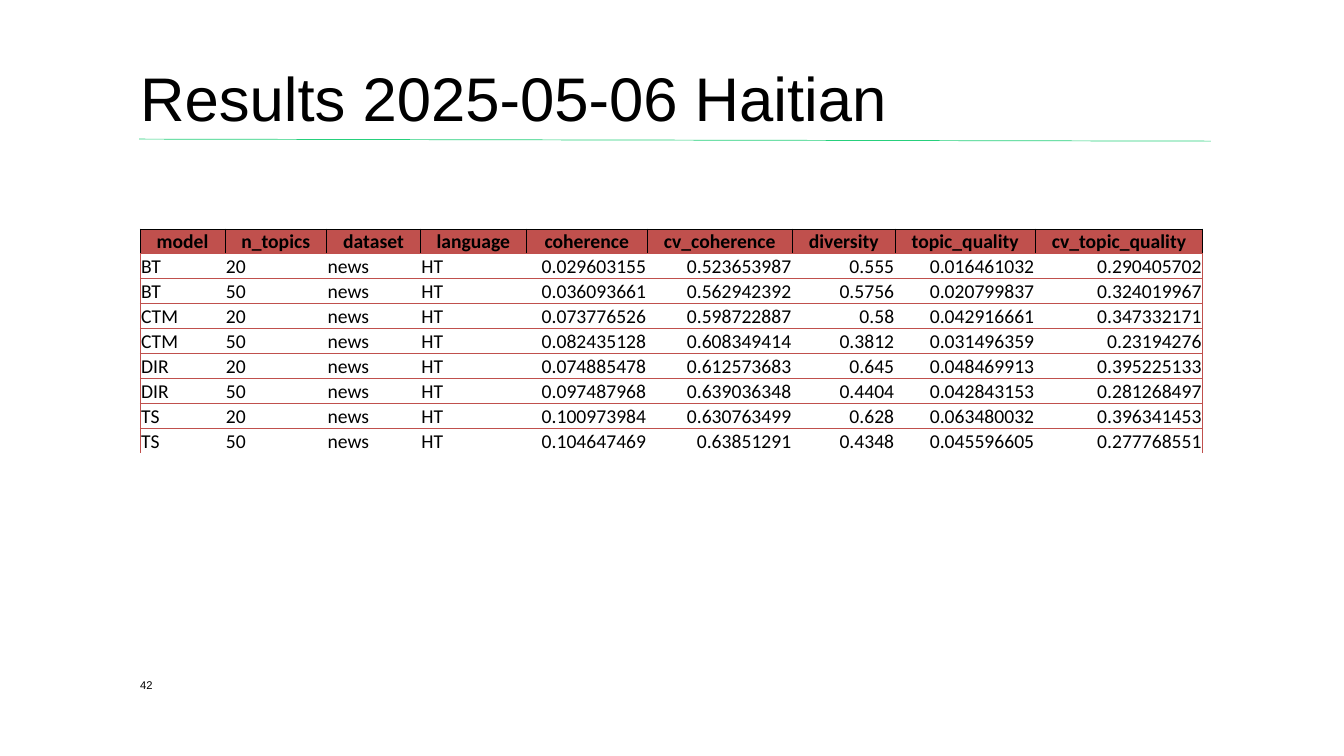
from lxml import etree
from pptx import Presentation
from pptx.dml.color import RGBColor
from pptx.enum import shapes, text
from pptx.oxml import ns
from pptx.util import Inches, Pt

BLACK = RGBColor(0x00, 0x00, 0x00)
RED = RGBColor(0xC0, 0x50, 0x4D)
GREEN = RGBColor(0x26, 0xD0, 0x7C)

LEFT = 1.39
WIDTHS = [0.84, 1.01, 0.93, 1.05, 1.2, 1.44, 1.02, 1.39, 1.66]
HEAD = ["model", "n_topics", "dataset", "language", "coherence",
        "cv_coherence", "diversity", "topic_quality", "cv_topic_quality"]
SCORES = [
    ["0.029603155", "0.523653987", "0.555", "0.016461032", "0.290405702"],
    ["0.036093661", "0.562942392", "0.5756", "0.020799837", "0.324019967"],
    ["0.073776526", "0.598722887", "0.58", "0.042916661", "0.347332171"],
    ["0.082435128", "0.608349414", "0.3812", "0.031496359", "0.23194276"],
    ["0.074885478", "0.612573683", "0.645", "0.048469913", "0.395225133"],
    ["0.097487968", "0.639036348", "0.4404", "0.042843153", "0.281268497"],
    ["0.100973984", "0.630763499", "0.628", "0.063480032", "0.396341453"],
    ["0.104647469", "0.63851291", "0.4348", "0.045596605", "0.277768551"],
]
RUNS = [(model, count) for model in ("BT", "CTM", "DIR", "TS")
        for count in ("20", "50")]
ROWS = [HEAD] + [[*run, "news", "HT", *score]
                 for run, score in zip(RUNS, SCORES)]


def style(par, size, face="Arial", bold=False):
    for run in par.runs:
        run.font.size = Pt(size)
        run.font.name = face
        run.font.bold = bold
        run.font.color.rgb = BLACK


def label(box, words, size):
    frame = box.text_frame
    frame.text = words
    frame.word_wrap = True
    frame.auto_size = text.MSO_AUTO_SIZE.NONE
    frame.vertical_anchor = text.MSO_ANCHOR.BOTTOM
    frame.margin_left = frame.margin_right = 0
    frame.margin_top = frame.margin_bottom = 0
    par = frame.paragraphs[0]
    par.alignment = text.PP_ALIGN.LEFT
    style(par, size)
    return par


def title(slide, words):
    box = slide.shapes.title
    box.left, box.top = Inches(LEFT), Inches(0.4)
    box.width, box.height = Inches(10.62), Inches(0.94)
    label(box, words, 44).line_spacing = 0.9


def rule(slide):
    line = slide.shapes.add_connector(
        shapes.MSO_CONNECTOR.STRAIGHT,
        Inches(1.38), Inches(1.38), Inches(12.01), Inches(1.4))
    line.line.color.rgb = GREEN
    line.line.width = Pt(0.5)
    etree.SubElement(line._element.spPr, ns.qn("a:effectLst"))


def border(cell, side, color):
    props = cell._tc.get_or_add_tcPr()
    edge = etree.SubElement(props, ns.qn("a:ln" + side), w=str(Pt(0.5)))
    if color is None:
        etree.SubElement(edge, ns.qn("a:noFill"))
    else:
        fill = etree.SubElement(edge, ns.qn("a:solidFill"))
        etree.SubElement(fill, ns.qn("a:srgbClr"), val=str(color))


def edges(row, col):
    """Colours of the left, right, top and bottom borders."""
    if row == 0:
        return BLACK, BLACK, BLACK, RED
    return (RED if col == 0 else None,
            RED if col == len(HEAD) - 1 else None,
            RED,
            RED if row < len(ROWS) - 1 else None)


def fill(cell, words, row, col):
    cell.text = words
    cell.margin_left = cell.margin_right = cell.margin_top = Inches(0.01)
    cell.margin_bottom = 0
    for side, color in zip("LRTB", edges(row, col)):
        border(cell, side, color)
    par = cell.text_frame.paragraphs[0]
    style(par, 14, "Calibri", row == 0)
    if row == 0:
        cell.fill.solid()
        cell.fill.fore_color.rgb = RED
        par.alignment = text.PP_ALIGN.CENTER
    else:
        cell.fill.background()
        cell.vertical_anchor = text.MSO_ANCHOR.BOTTOM
        par.alignment = text.PP_ALIGN.RIGHT if col > 3 else text.PP_ALIGN.LEFT


def grid(slide):
    table = slide.shapes.add_table(
        len(ROWS), len(HEAD), Inches(LEFT), Inches(2.27),
        Inches(sum(WIDTHS)), Inches(2.23)).table
    table.first_row = table.horz_banding = False
    for col, width in zip(table.columns, WIDTHS):
        col.width = Inches(width)
    for row, line in enumerate(ROWS):
        for col, words in enumerate(line):
            fill(table.cell(row, col), words, row, col)


def main():
    deck = Presentation()
    deck.slide_width, deck.slide_height = Inches(13.33), Inches(7.5)
    slide = deck.slides.add_slide(deck.slide_layouts[5])

    # Heading
    rule(slide)
    title(slide, "Results 2025-05-06 Haitian")

    # Scores
    grid(slide)

    # Page number
    page = slide.shapes.add_textbox(
        Inches(LEFT), Inches(6.6), Inches(0.5), Inches(0.26))
    label(page, "42", 8)

    deck.save("out.pptx")


if __name__ == "__main__":
    main()
